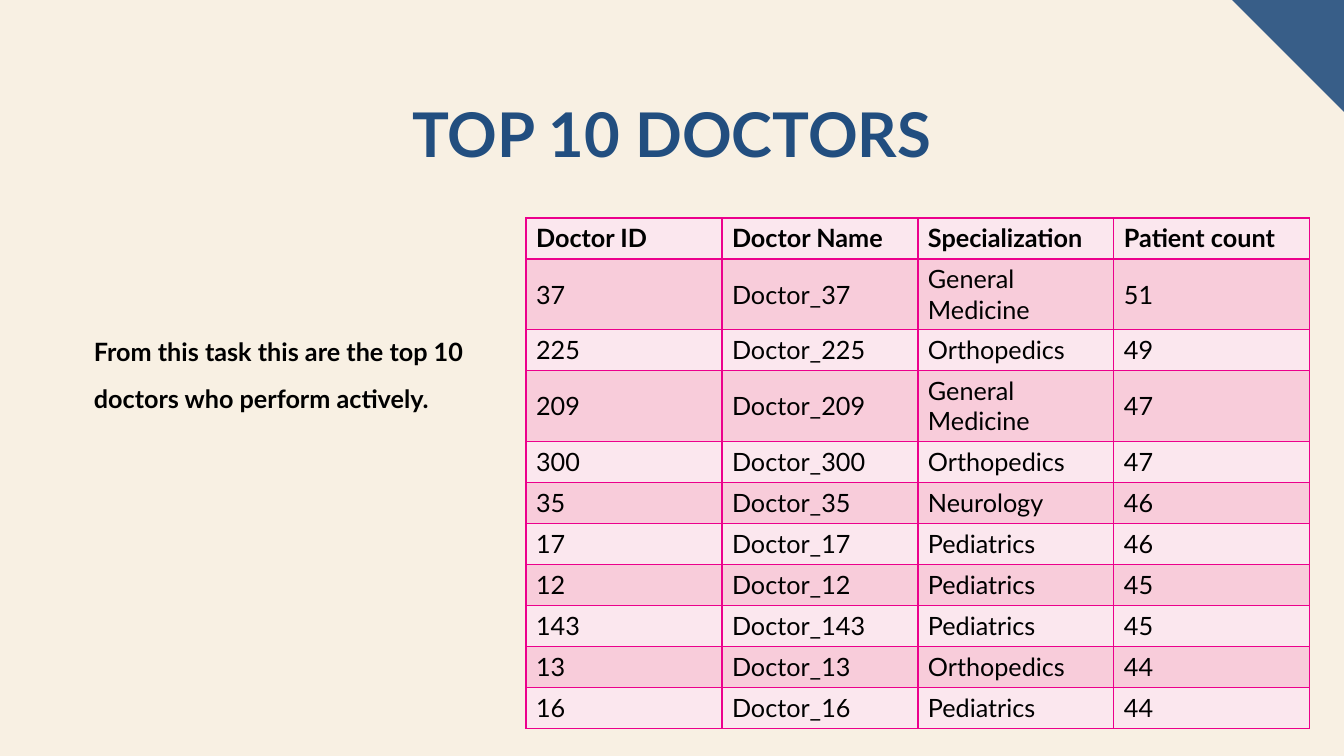
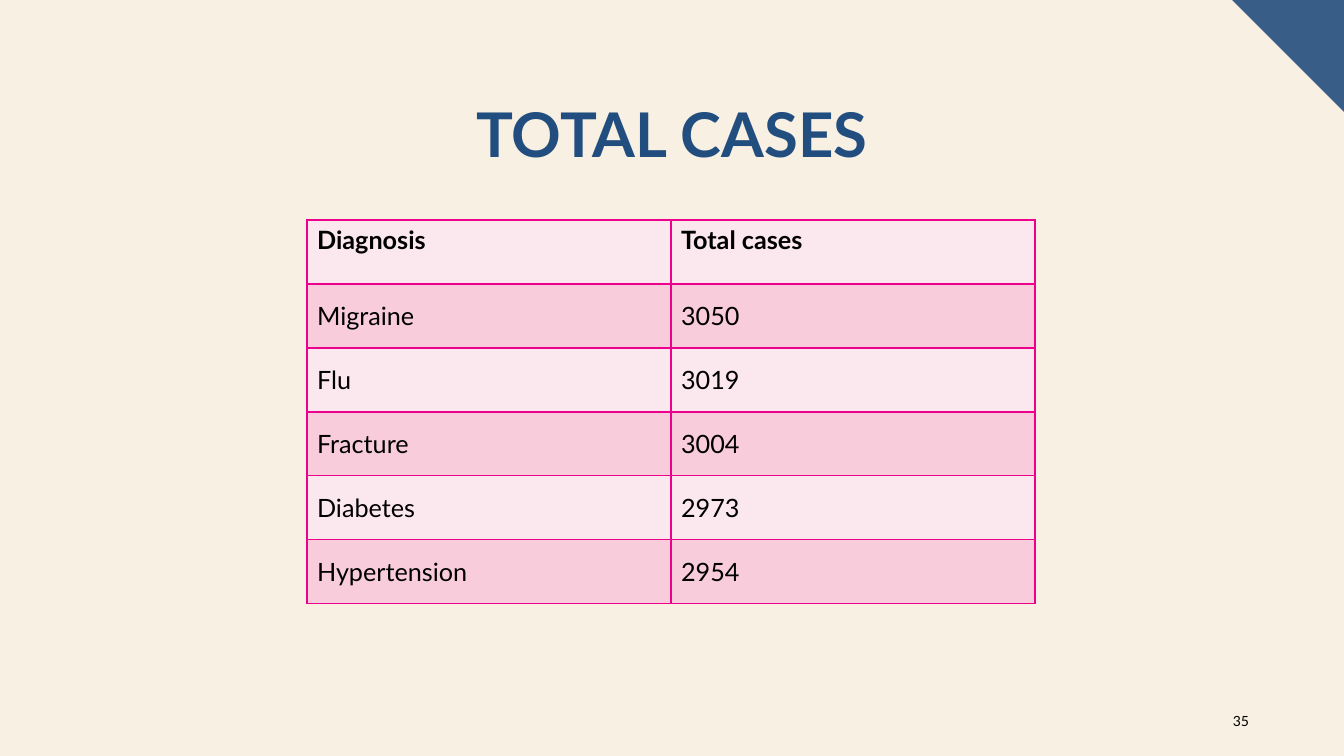
from lxml import etree
from pptx import Presentation
from pptx.dml.color import RGBColor
from pptx.enum.shapes import MSO_SHAPE
from pptx.enum.text import MSO_ANCHOR, PP_ALIGN
from pptx.oxml.ns import qn
from pptx.util import Emu, Inches, Pt

RIGHT_TRIANGLE = MSO_SHAPE.RIGHT_TRIANGLE
TOP, MIDDLE = MSO_ANCHOR.TOP, MSO_ANCHOR.MIDDLE
LEFT, CENTER, RIGHT = PP_ALIGN.LEFT, PP_ALIGN.CENTER, PP_ALIGN.RIGHT

SCALE = Inches(1) / 100.8
SLIDE_WIDTH, SLIDE_HEIGHT = 1344, 756
FONT = "Lato"
COLORS = {
    "background": "F8F0E3",
    "corner": "385E88",
    "title": "224E7F",
    "text": "000000",
    "light row": "FBE7EE",
    "dark row": "F8CCDA",
    "border": "EC008C",
}

DOCTORS = [
    ("Doctor ID", "Doctor Name", "Specialization", "Patient count"),
    ("37", "Doctor_37", "General Medicine", "51"),
    ("225", "Doctor_225", "Orthopedics", "49"),
    ("209", "Doctor_209", "General Medicine", "47"),
    ("300", "Doctor_300", "Orthopedics", "47"),
    ("35", "Doctor_35", "Neurology", "46"),
    ("17", "Doctor_17", "Pediatrics", "46"),
    ("12", "Doctor_12", "Pediatrics", "45"),
    ("143", "Doctor_143", "Pediatrics", "45"),
    ("13", "Doctor_13", "Orthopedics", "44"),
    ("16", "Doctor_16", "Pediatrics", "44"),
]
CASES = [
    ("Diagnosis", "Total cases"),
    ("Migraine", "3050"),
    ("Flu", "3019"),
    ("Fracture", "3004"),
    ("Diabetes", "2973"),
    ("Hypertension", "2954"),
]


def px(length):
    return Emu(round(length * SCALE))


def color(name):
    return RGBColor.from_string(COLORS[name])


class Deck:
    """Holds the shared style and the slide being built."""

    def __init__(self):
        self.presentation = Presentation()
        self.presentation.slide_width = px(SLIDE_WIDTH)
        self.presentation.slide_height = px(SLIDE_HEIGHT)
        self.fill(self.presentation.slide_master.background, "background")
        self.slide = None

    def fill(self, target, color_name):
        target.fill.solid()
        target.fill.fore_color.rgb = color(color_name)

    def style(self, paragraph, size, bold=False, color_name="text"):
        font = paragraph.font
        font.name, font.size, font.bold = FONT, Pt(size), bold
        font.color.rgb = color(color_name)

    def new_slide(self, title):
        layout = self.presentation.slide_layouts.get_by_name("Blank")
        self.slide = self.presentation.slides.add_slide(layout)
        self.corner(112)
        heading, = self.text([title], 84, 99, 1176, 146, 44, True, "title", CENTER)
        heading.line_spacing = 0.9

    def corner(self, side):
        triangle = self.slide.shapes.add_shape(
            RIGHT_TRIANGLE, px(SLIDE_WIDTH - side), 0, px(side), px(side))
        triangle.rotation = 180
        triangle.shadow.inherit = False
        triangle.line.fill.background()
        self.fill(triangle, "corner")

    def text(self, lines, left, top, width, height, size, bold=False,
             color_name="text", align=LEFT, anchor=TOP, space_after=0):
        """Add a text box with one paragraph a line and return the paragraphs."""
        box = self.slide.shapes.add_textbox(px(left), px(top), px(width), px(height))
        frame = box.text_frame
        frame.word_wrap = True
        frame.vertical_anchor = anchor
        frame.text = "\n".join(lines)
        for paragraph in frame.paragraphs:
            paragraph.alignment = align
            paragraph.space_after = Pt(space_after)
            self.style(paragraph, size, bold, color_name)
        return frame.paragraphs

    def page_number(self, number):
        self.text([str(number)], 1209, 701, 50, 40, 10, align=RIGHT, anchor=MIDDLE)

    def table(self, rows, left, top, column_width, row_height):
        column_count = len(rows[0])
        table = self.slide.shapes.add_table(
            len(rows), column_count, px(left), px(top),
            px(column_width * column_count), px(row_height * len(rows))).table
        table.horz_banding = False
        for column in table.columns:
            column.width = px(column_width)
        for row_index, values in enumerate(rows):
            table.rows[row_index].height = px(row_height)
            is_header = row_index == 0
            for cell, value in zip(table.rows[row_index].cells, values):
                cell.text = value
                cell.vertical_anchor = TOP if is_header else MIDDLE
                self.style(cell.text_frame.paragraphs[0], 18, is_header)
                self.borders(cell)
                self.fill(cell, "dark row" if row_index % 2 else "light row")

    def borders(self, cell):
        """Draw all four edges; call before the fill, which must follow them."""
        properties = cell._tc.get_or_add_tcPr()
        for edge in ("a:lnL", "a:lnR", "a:lnT", "a:lnB"):
            line = etree.SubElement(properties, qn(edge), w=str(Pt(1)))
            solid = etree.SubElement(line, qn("a:solidFill"))
            etree.SubElement(solid, qn("a:srgbClr"), val=COLORS["border"])


def main():
    deck = Deck()

    deck.new_slide("TOP 10 DOCTORS")
    deck.text(["From this task this are the top 10", "doctors who perform actively."],
              84, 331, 426, 146, 18, bold=True, space_after=12)
    deck.table(DOCTORS, 526, 218, 196, 41)

    deck.new_slide("TOTAL CASES")
    deck.table(CASES, 307, 220, 364, 64)
    deck.page_number(35)

    deck.presentation.save("out.pptx")


if __name__ == "__main__":
    main()
